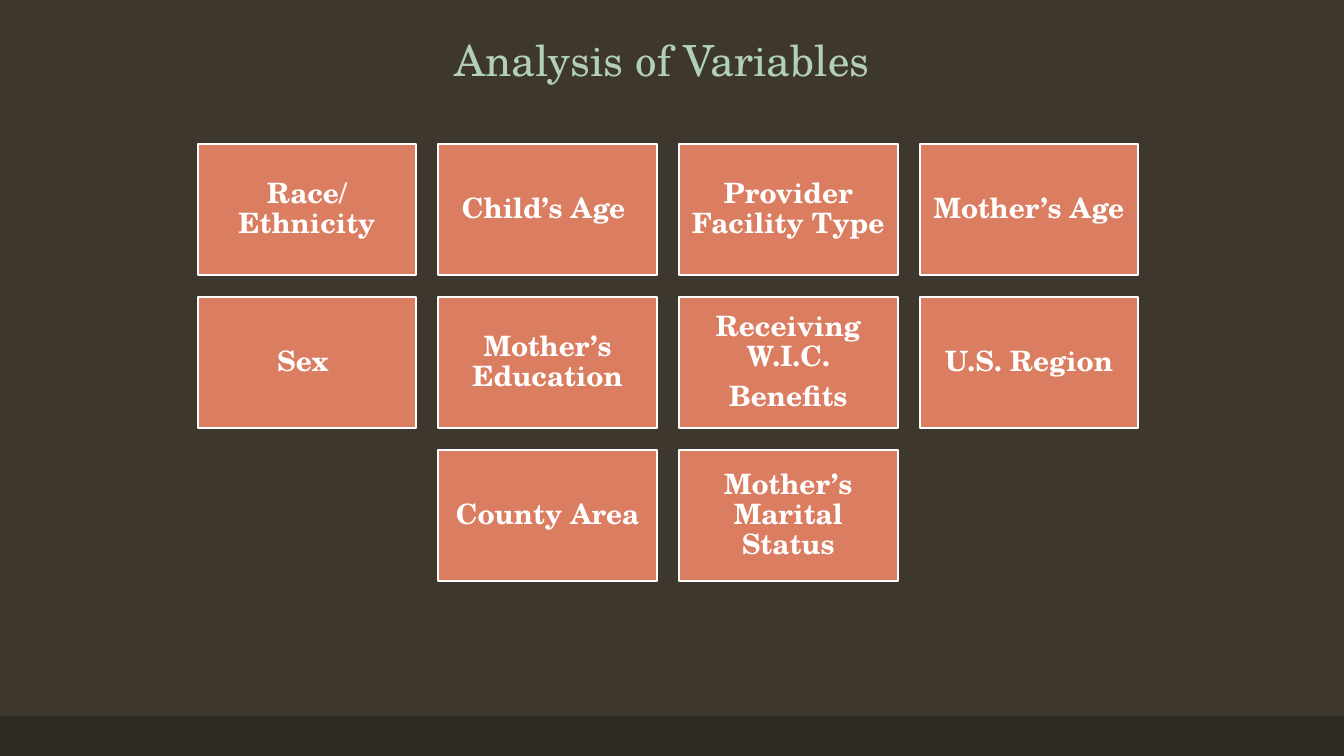
"""Build the slide that lists the variables of the analysis as a grid of cards."""
from pptx import Presentation
from pptx import util as u
from pptx.dml.color import RGBColor
from pptx.enum import shapes, text

BACKGROUND = RGBColor(0x3D, 0x37, 0x2E)
FOOTER = RGBColor(0x2E, 0x29, 0x23)
TITLE = RGBColor(0xB2, 0xD0, 0xB4)
CARD = RGBColor(0xDA, 0x7D, 0x60)
WHITE = RGBColor(0xFF, 0xFF, 0xFF)
FONT = "TeX Gyre Schola"

VARIABLE_ROWS = [
    ["Race/Ethnicity", "Child’s Age ", "Provider Facility Type", "Mother’s Age"],
    ["Sex ", "Mother’s Education", "Receiving W.I.C.\nBenefits", "U.S. Region"],
    ["County Area", "Mother’s Marital Status"],
]
COLUMNS = 4
GRID_LEFT, GRID_TOP = 1.96, 1.43
CARD_WIDTH, CARD_HEIGHT = 2.17, 1.3
GAP = CARD_WIDTH / 10


def add_rectangle(page, left, top, width, height, color):
    box = page.shapes.add_shape(
        shapes.MSO_SHAPE.RECTANGLE,
        u.Inches(left), u.Inches(top), u.Inches(width), u.Inches(height))
    box.shadow.inherit = False
    box.fill.solid()
    box.fill.fore_color.rgb = color
    box.line.fill.background()
    return box


def write_lines(frame, lines, size, color, bold=False, space_after=0):
    frame.word_wrap = True
    for index, line in enumerate(lines):
        para = frame.paragraphs[0] if index == 0 else frame.add_paragraph()
        para.alignment = text.PP_ALIGN.CENTER
        para.line_spacing = 0.9
        para.space_after = u.Pt(space_after)
        span = para.add_run()
        span.text = line
        span.font.name = FONT
        span.font.size = u.Pt(size)
        span.font.bold = bold
        span.font.color.rgb = color


deck = Presentation()
deck.slide_width, deck.slide_height = u.Inches(13.33), u.Inches(7.5)
page = deck.slides.add_slide(deck.slide_layouts[6])
page.background.fill.solid()
page.background.fill.fore_color.rgb = BACKGROUND

add_rectangle(page, 0, 7.1, 13.33, 0.4, FOOTER)

title = page.shapes.add_textbox(
    u.Inches(3.75), u.Inches(0.33), u.Inches(5.75), u.Inches(0.57))
title.text_frame.vertical_anchor = text.MSO_ANCHOR.BOTTOM
write_lines(title.text_frame, ["Analysis of Variables "], 30.6, TITLE)

for row, names in enumerate(VARIABLE_ROWS):
    indent = (COLUMNS - len(names)) / 2
    top = GRID_TOP + row * (CARD_HEIGHT + GAP)
    for column, name in enumerate(names):
        left = GRID_LEFT + (indent + column) * (CARD_WIDTH + GAP)
        card = add_rectangle(page, left, top, CARD_WIDTH, CARD_HEIGHT, CARD)
        card.line.color.rgb = WHITE
        card.line.width = u.Pt(1.5)
        frame = card.text_frame
        frame.vertical_anchor = text.MSO_ANCHOR.MIDDLE
        frame.margin_left = frame.margin_right = u.Inches(0.08)
        frame.margin_top = frame.margin_bottom = u.Inches(0.08)
        write_lines(frame, name.split("\n"), 20, WHITE, bold=True, space_after=7)

deck.save("out.pptx")
